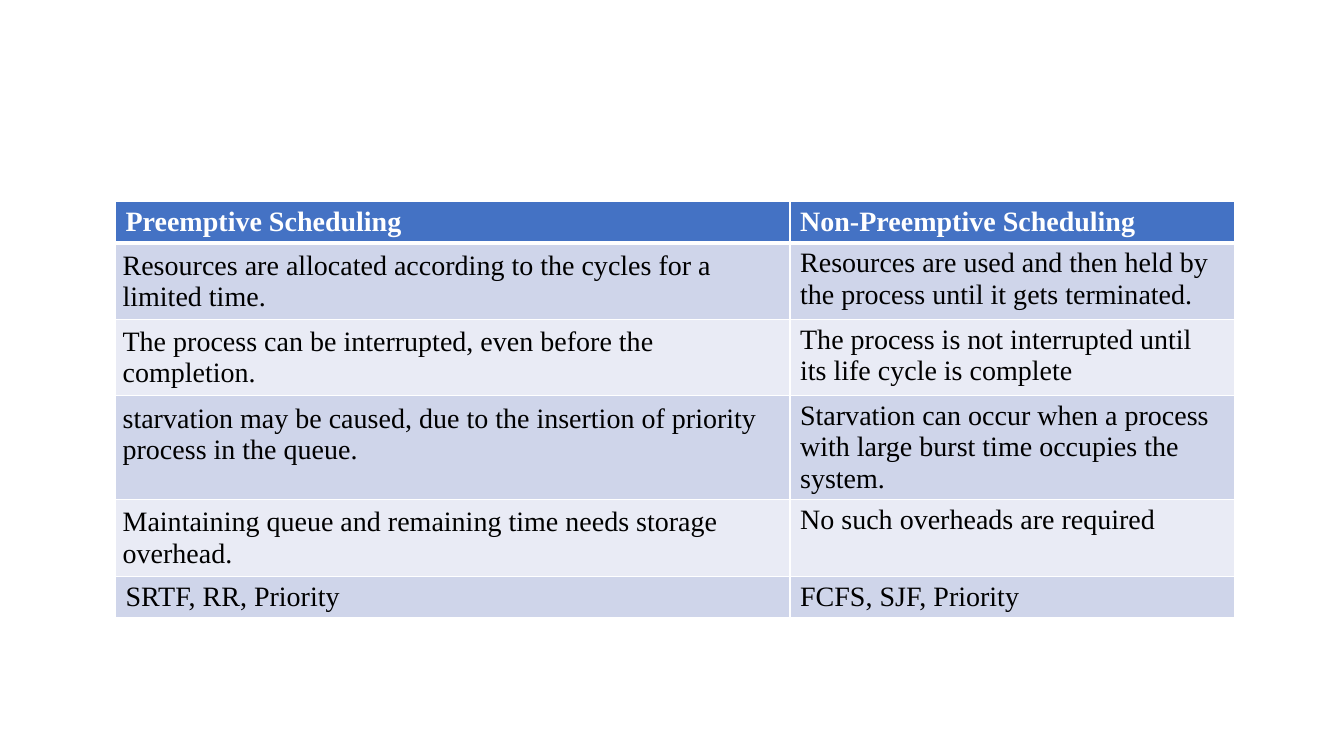
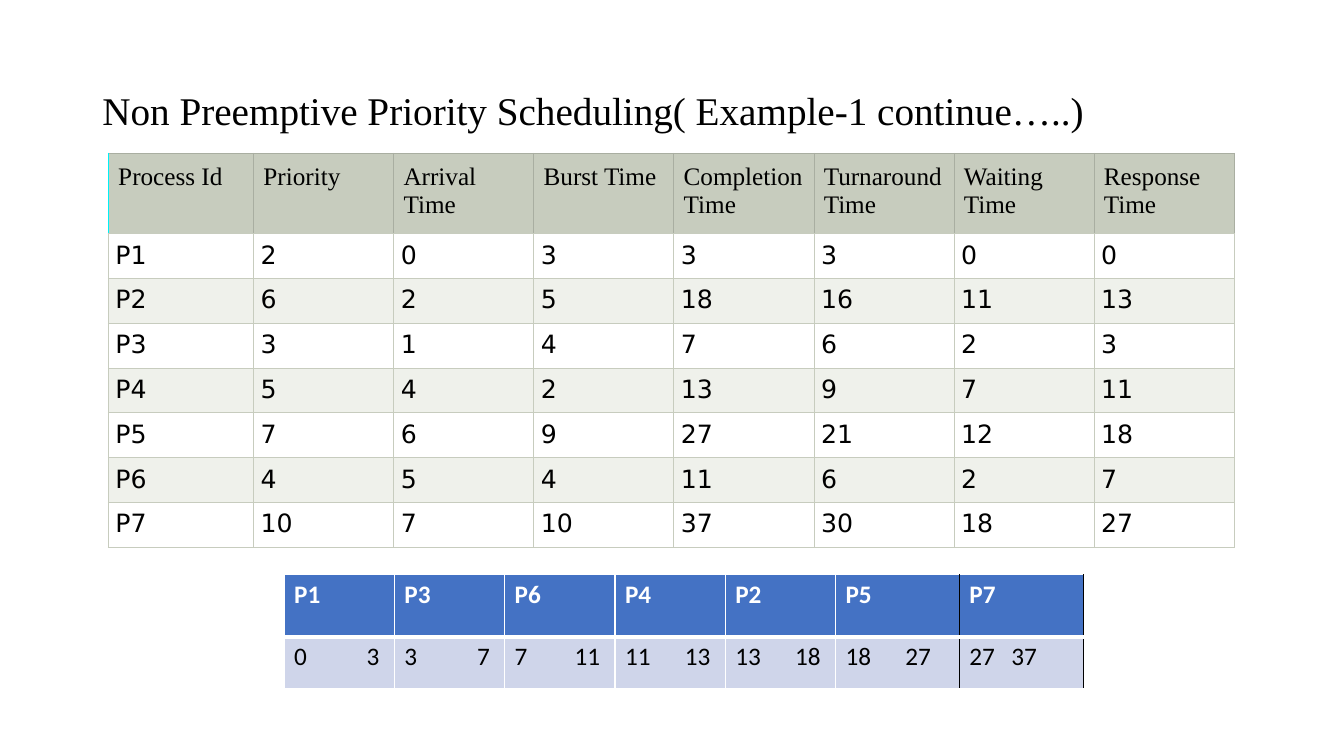
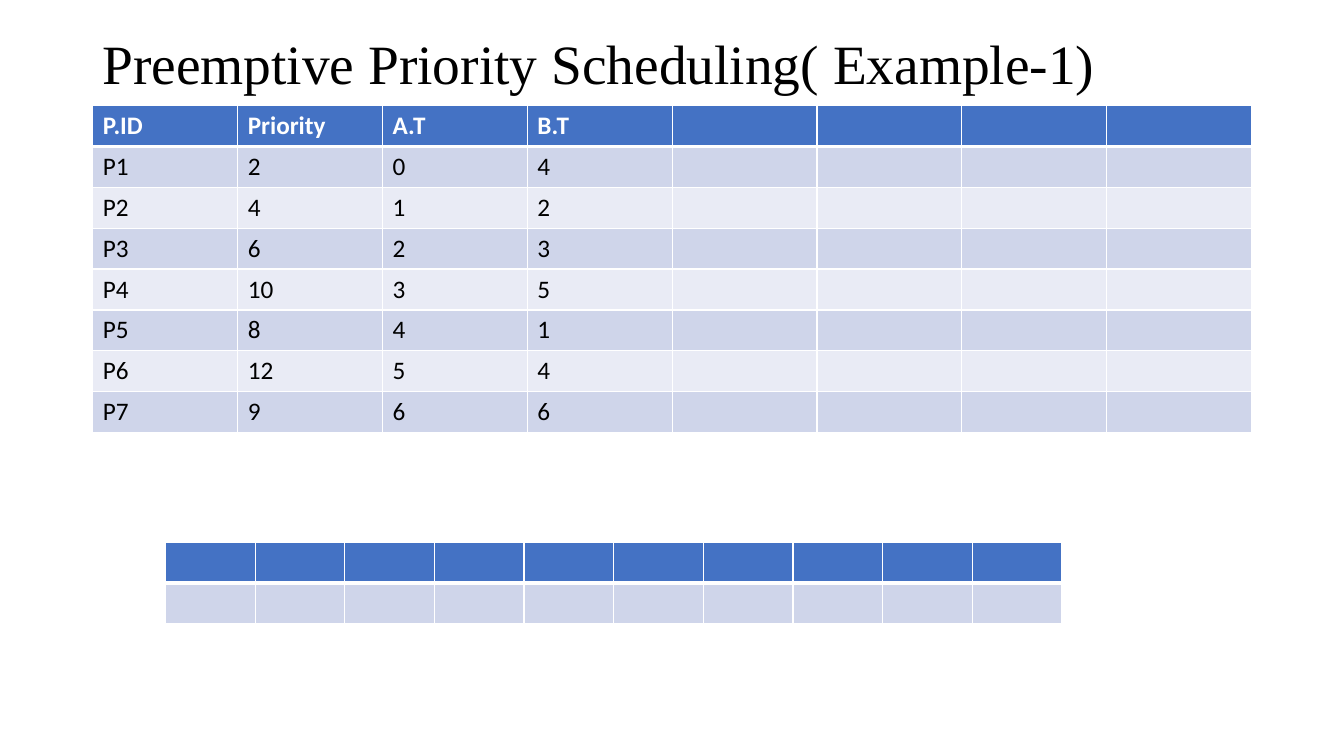
from lxml import etree
from pptx import Presentation
from pptx.dml.color import RGBColor
from pptx.enum.text import MSO_ANCHOR
from pptx.oxml.ns import qn
from pptx.util import Cm, Pt

MIDDLE = MSO_ANCHOR.MIDDLE

# Shared colours and fonts
WHITE, BLACK, CYAN = "FFFFFF", "000000", "00F1F7"
BLUE, PALE, LIGHT = "4472C4", "CFD5EA", "E9EBF5"
SAGE, MIST, MOSS = "C7CCBE", "EFF1EB", "A9AEA1"
SERIF, SANS, PLAIN = "Times New Roman", "Calibri", "DejaVu Sans"
SIDES = {"l": "a:lnL", "r": "a:lnR", "t": "a:lnT", "b": "a:lnB"}

# Table looks: header and body fonts, fills, edges and insets
BLUES = {
    "head": {"name": SANS, "size": Pt(18), "bold": True},
    "body": {"name": SANS, "size": Pt(18), "bold": False},
    "ink": WHITE, "fill": BLUE, "bands": (PALE, LIGHT),
    "edge": (WHITE, 1), "rule": (WHITE, 3), "top": (WHITE, 1),
}
SERIFS = {
    **BLUES,
    "head": {"name": SERIF, "size": Pt(20), "bold": True},
    "body": {"name": SERIF, "size": Pt(20), "bold": False},
}
SAGES = {
    "head": {"name": SERIF, "size": Pt(18), "bold": False},
    "body": {"name": PLAIN, "size": Pt(18), "bold": False},
    "ink": BLACK, "fill": SAGE, "bands": (WHITE, MIST),
    "edge": (SAGE, 0.6), "rule": (SAGE, 0.6), "top": (MOSS, 0.6),
    "pads": (0.25, 0.18),
}


def paint(hue):
    return RGBColor.from_string(hue)


def write(para, text, form, hue):
    run = para.add_run()
    run.text = text
    for key, value in form.items():
        setattr(run.font, key, value)
    run.font.color.rgb = paint(hue)


def title(slide, text, size, height):
    box = slide.shapes.add_textbox(Cm(2.33), Cm(1.01), Cm(29.21), Cm(height))
    frame = box.text_frame
    frame.word_wrap = True
    frame.vertical_anchor = MIDDLE
    para = frame.paragraphs[0]
    para.line_spacing = 0.9
    write(para, text, {"name": SERIF, "size": Pt(size)}, BLACK)


def border(cell, edges):
    """Draw edges given as side: (colour, points)."""
    props = cell._tc.get_or_add_tcPr()
    for side, tag in SIDES.items():
        if side not in edges:
            continue
        hue, width = edges[side]
        for old in props.findall(qn(tag)):
            props.remove(old)
        line = etree.Element(qn(tag), w=str(Pt(width)))
        fill = etree.SubElement(line, qn("a:solidFill"))
        etree.SubElement(fill, qn("a:srgbClr"), val=hue)
        # Edges must stand in the fixed order, ahead of the fill
        tags = [qn(t) for t in SIDES.values()]
        spot = sum(1 for kid in props
                   if kid.tag in tags[:tags.index(qn(tag))])
        props.insert(spot, line)


def pad(cell, gap):
    for side in ("left", "right", "top", "bottom"):
        setattr(cell, f"margin_{side}", Cm(gap))


def tab(cell, stop):
    """Set one right-aligned tab stop."""
    props = cell.text_frame.paragraphs[0]._p.get_or_add_pPr()
    stops = etree.SubElement(props, qn("a:tabLst"))
    etree.SubElement(stops, qn("a:tab"), pos=str(Cm(stop)), algn="r")


def grid(slide, left, top, cols, rows, data, look):
    """Add a table; short data rows leave the last cells empty."""
    frame = slide.shapes.add_table(
        len(rows), len(cols), Cm(left), Cm(top), Cm(sum(cols)), Cm(sum(rows)))
    table = frame.table
    table.first_row = table.horz_banding = False
    for col, width in zip(table.columns, cols):
        col.width = Cm(width)
    for r, height in enumerate(rows):
        table.rows[r].height = Cm(height)
        head = r == 0
        fill = look["fill"] if head else look["bands"][(r - 1) % 2]
        edge = look["top"] if head else look["edge"]
        edges = dict.fromkeys(SIDES, edge)
        if head:
            edges["b"] = look["rule"]
        elif r == 1:
            edges["t"] = look["rule"]
        for c in range(len(cols)):
            cell = table.cell(r, c)
            border(cell, edges)
            cell.fill.solid()
            cell.fill.fore_color.rgb = paint(fill)
            if "pads" in look:
                pad(cell, look["pads"][0 if head else 1])
            if r < len(data) and c < len(data[r]):
                write(cell.text_frame.paragraphs[0], data[r][c],
                      look["head" if head else "body"],
                      look["ink"] if head else BLACK)
    return table


def compare(slide):
    data = [
        ("Preemptive Scheduling", "Non-Preemptive Scheduling"),
        ("Resources are allocated according to the cycles for a limited time.",
         "Resources are used and then held by the process until it gets "
         "terminated."),
        ("The process can be interrupted, even before the completion.",
         "The process is not interrupted until its life cycle is complete"),
        ("starvation may be caused, due to the insertion of priority process "
         "in the queue.",
         "Starvation can occur when a process with large burst time occupies "
         "the system."),
        ("Maintaining queue and remaining time needs storage overhead.",
         "No such overheads are required"),
        ("SRTF, RR, Priority", "FCFS, SJF, Priority"),
    ]
    rows = [1.04, 1.9, 1.9, 2.62, 1.9, 1.04]
    table = grid(slide, 2.91, 5.08, [17, 11.2], rows, data, SERIFS)
    for r in range(1, 5):
        pad(table.cell(r, 0), 0.18)


def result(slide):
    title(slide, "Non Preemptive Priority Scheduling( Example-1 continue…..)",
          28, 3.68)
    # Times of each process
    data = [
        ("Process Id", "Priority", "Arrival Time", "Burst Time",
         "Completion Time", "Turnaround Time", "Waiting Time",
         "Response Time"),
        ("P1", "2", "0", "3", "3", "3", "0", "0"),
        ("P2", "6", "2", "5", "18", "16", "11", "13"),
        ("P3", "3", "1", "4", "7", "6", "2", "3"),
        ("P4", "5", "4", "2", "13", "9", "7", "11"),
        ("P5", "7", "6", "9", "27", "21", "12", "18"),
        ("P6", "4", "5", "4", "11", "6", "2", "7"),
        ("P7", "10", "7", "10", "37", "30", "18", "27"),
    ]
    table = grid(slide, 2.73, 3.86, [3.66] + [3.53] * 7,
                 [1.92] + [1.13] * 7, data, SAGES)
    border(table.cell(0, 0), {"l": (CYAN, 0.6)})

    # Gantt chart: start and end of each run
    order = ("P1", "P3", "P6", "P4", "P2", "P5", "P7")
    marks = (0, 3, 7, 11, 13, 18, 27, 37)
    spans = [f"{a}\t{b}" for a, b in zip(marks, marks[1:])]
    gantt = grid(slide, 7.16, 14.48, [2.78] * 5 + [3.12] * 2,
                 [1.57, 1.3], [order, spans], BLUES)
    for c in range(len(order)):
        tab(gantt.cell(1, c), 1.7 if c == 6 else 2.15)
    dark = (BLACK, 1)
    for r in range(2):
        border(gantt.cell(r, 5), {"r": dark})
        border(gantt.cell(r, 6), {"l": dark, "r": dark})


def task(slide):
    title(slide, "Preemptive Priority Scheduling( Example-1)", 39.6, 1.35)
    # Given values, with columns left to fill in
    data = [
        ("P.ID", "Priority", "A.T", "B.T"),
        ("P1", "2", "0", "4"),
        ("P2", "4", "1", "2"),
        ("P3", "6", "2", "3"),
        ("P4", "10", "3", "5"),
        ("P5", "8", "4", "1"),
        ("P6", "12", "5", "4"),
        ("P7", "9", "6", "6"),
    ]
    grid(slide, 2.34, 2.66, [3.65] * 8, [1.03] * 8, data, BLUES)
    # Empty Gantt chart
    grid(slide, 4.17, 13.67, [2.26] * 10, [1.02] * 2, [], BLUES)


def main():
    deck = Presentation()
    deck.slide_width, deck.slide_height = Cm(33.87), Cm(19.05)
    for build in (compare, result, task):
        build(deck.slides.add_slide(deck.slide_layouts[6]))
    deck.save("out.pptx")


if __name__ == "__main__":
    main()
